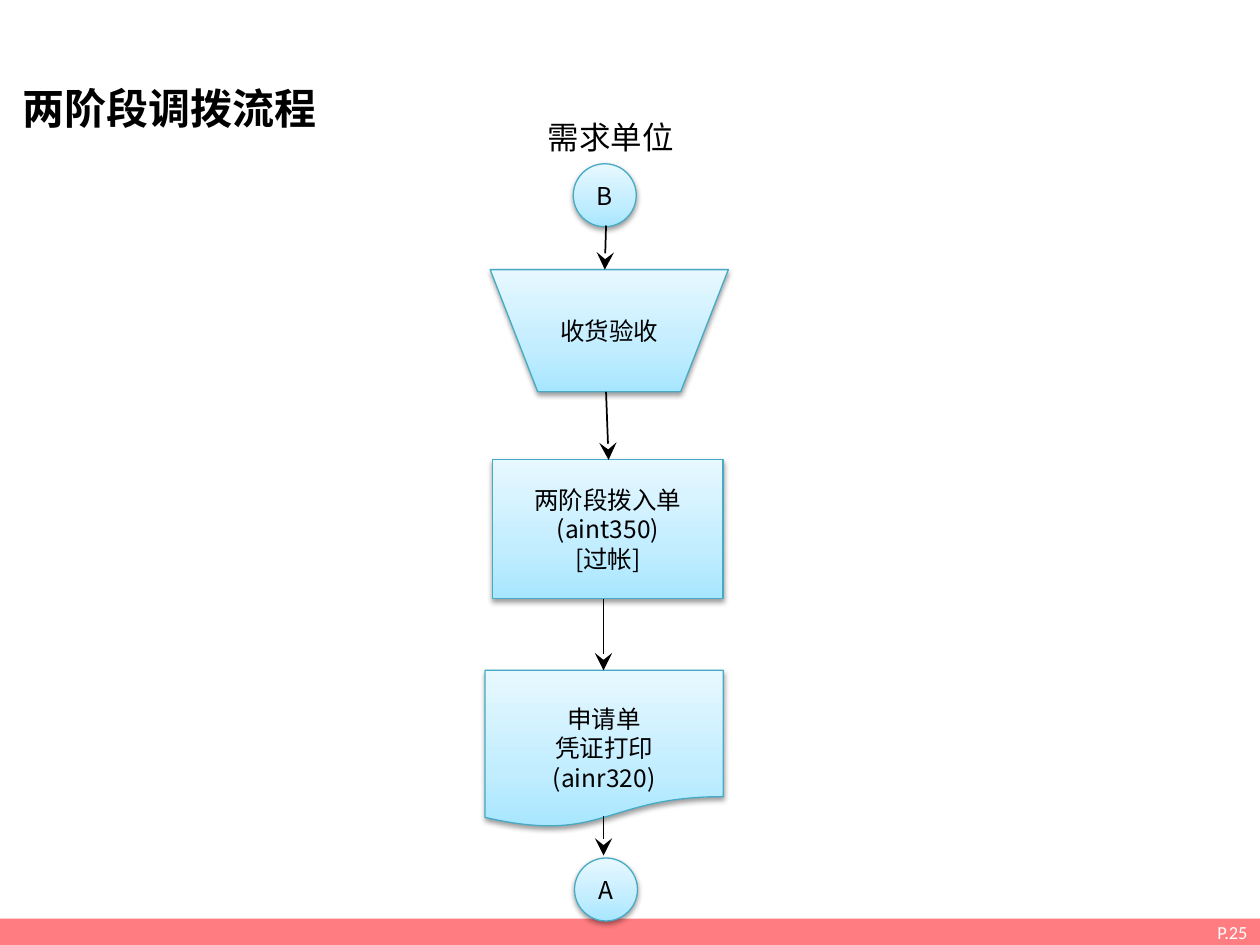
from lxml import etree
from pptx import Presentation, util as u
from pptx.dml.color import RGBColor
from pptx.enum import shapes, text
from pptx.oxml import parse_xml
from pptx.oxml.ns import nsdecls, qn

BLACK = RGBColor(0x00, 0x00, 0x00)
WHITE = RGBColor(0xFF, 0xFF, 0xFF)
CORAL = RGBColor(0xFF, 0x7C, 0x80)
TEAL = RGBColor(0x46, 0xAA, 0xC5)
# Gradient stops by percent, running from the bottom edge upward
BLUES = {0: RGBColor(0xA7, 0xE6, 0xFF),
         35: RGBColor(0xC1, 0xED, 0xFF),
         100: RGBColor(0xE7, 0xF8, 0xFF)}
CJK = "Noto Sans CJK SC"

presentation = Presentation()
presentation.slide_width, presentation.slide_height = u.Inches(10), u.Inches(7.5)
slide = presentation.slides.add_slide(presentation.slide_layouts[5])

# Grid of 100 columns by 75 rows
COLUMN = presentation.slide_width / 100
ROW = presentation.slide_height / 75


def grid(*cells):
    """Turn alternating columns and rows into slide lengths."""
    return [u.Emu(round(cell * (ROW if i % 2 else COLUMN)))
            for i, cell in enumerate(cells)]


def write(shape, words, size=14, color=BLACK, font=CJK, bold=False,
          align=text.PP_ALIGN.CENTER, anchor=text.MSO_ANCHOR.MIDDLE):
    """Fill a shape with one paragraph per line of words."""
    frame = shape.text_frame
    frame.word_wrap = True
    frame.vertical_anchor = anchor
    frame.text = words
    for paragraph in frame.paragraphs:
        paragraph.alignment = align
        for run in paragraph.runs:
            run.font.size = u.Pt(size)
            run.font.bold = bold
            run.font.color.rgb = color
            run.font.name = font
            east_asian = etree.SubElement(run.font._element, qn("a:ea"))
            east_asian.set("typeface", font)


# Footer band with page number
footer = slide.shapes.add_shape(shapes.MSO_SHAPE.RECTANGLE, *grid(0, 72.9, 100, 2.1))
footer.shadow.inherit = False
footer.fill.solid()
footer.fill.fore_color.rgb = CORAL
footer.line.fill.background()
write(footer, "P.25", size=10.5, color=WHITE, font="Calibri",
      align=text.PP_ALIGN.RIGHT)

# Title
title = slide.shapes.title
title.left, title.top, title.width, title.height = grid(0.8, 5.9, 41.7, 5.3)
write(title, "两阶段调拨流程", size=24, bold=True, align=text.PP_ALIGN.LEFT)

# Flow steps
steps = [
    (shapes.MSO_SHAPE.FLOWCHART_MANUAL_OPERATION, (38.9, 21.4, 18.9, 9.7), "收货验收"),
    (shapes.MSO_SHAPE.RECTANGLE, (39.1, 36.5, 18.3, 11), "两阶段拨入单(aint350)\n[过帐]"),
    (shapes.MSO_SHAPE.FLOWCHART_DOCUMENT, (38.5, 53.2, 18.9, 12.5),
     "申请单\n凭证打印\n(ainr320)"),
    (shapes.MSO_SHAPE.FLOWCHART_CONNECTOR, (45.6, 68.1, 5, 5), "A"),
    (shapes.MSO_SHAPE.FLOWCHART_CONNECTOR, (45.5, 13, 5, 5), "B"),
]
stops = "".join(f'<a:gs pos="{percent * 1000}"><a:srgbClr val="{color}"/></a:gs>'
                for percent, color in BLUES.items())
for kind, cells, words in steps:
    step = slide.shapes.add_shape(kind, *grid(*cells))
    step.line.color.rgb = TEAL
    step.line.width = u.Pt(0.75)
    properties = step._element.spPr
    properties.insert(2, parse_xml(
        f'<a:gradFill {nsdecls("a")} rotWithShape="1"><a:gsLst>{stops}</a:gsLst>'
        '<a:lin ang="16200000" scaled="0"/></a:gradFill>'))
    properties.append(parse_xml(
        f'<a:effectLst {nsdecls("a")}><a:outerShdw blurRad="{u.Pt(3.1)}" '
        f'dist="{u.Pt(1.6)}" dir="5400000" rotWithShape="0">'
        f'<a:srgbClr val="{BLACK}"><a:alpha val="38000"/></a:srgbClr>'
        '</a:outerShdw></a:effectLst>'))
    write(step, words)
    if kind == shapes.MSO_SHAPE.FLOWCHART_DOCUMENT:
        step.text_frame.margin_top = u.Inches(0.28)

# Arrows between steps
arrows = [(48.1, 17.9, 48, 21.4), (48.1, 31.1, 48.3, 36.5),
          (47.9, 47.5, 47.9, 53.2), (47.9, 64.8, 47.9, 67.9)]
for ends in arrows:
    arrow = slide.shapes.add_connector(shapes.MSO_CONNECTOR.STRAIGHT, *grid(*ends))
    arrow.line.color.rgb = BLACK
    arrow.line.width = u.Pt(1)
    etree.SubElement(arrow.line._get_or_add_ln(), qn("a:tailEnd"),
                     type="stealth", w="lg", len="lg")
    etree.SubElement(arrow._element.spPr, qn("a:effectLst"))

# Column heading
heading = slide.shapes.add_textbox(*grid(42.5, 8.9, 14.7, 4.2))
write(heading, "需求单位", size=18, align=text.PP_ALIGN.LEFT,
      anchor=text.MSO_ANCHOR.TOP)

presentation.save("out.pptx")
